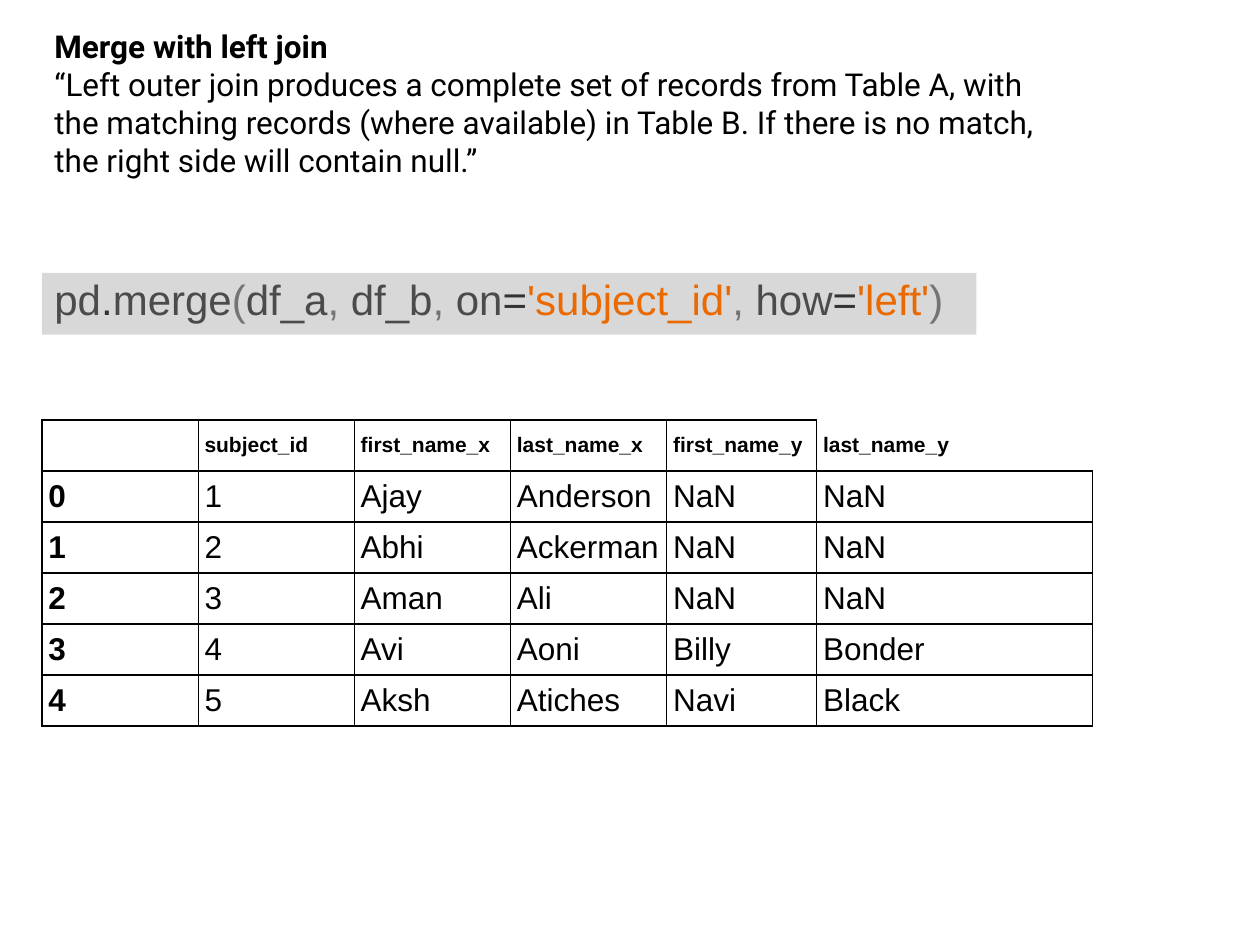
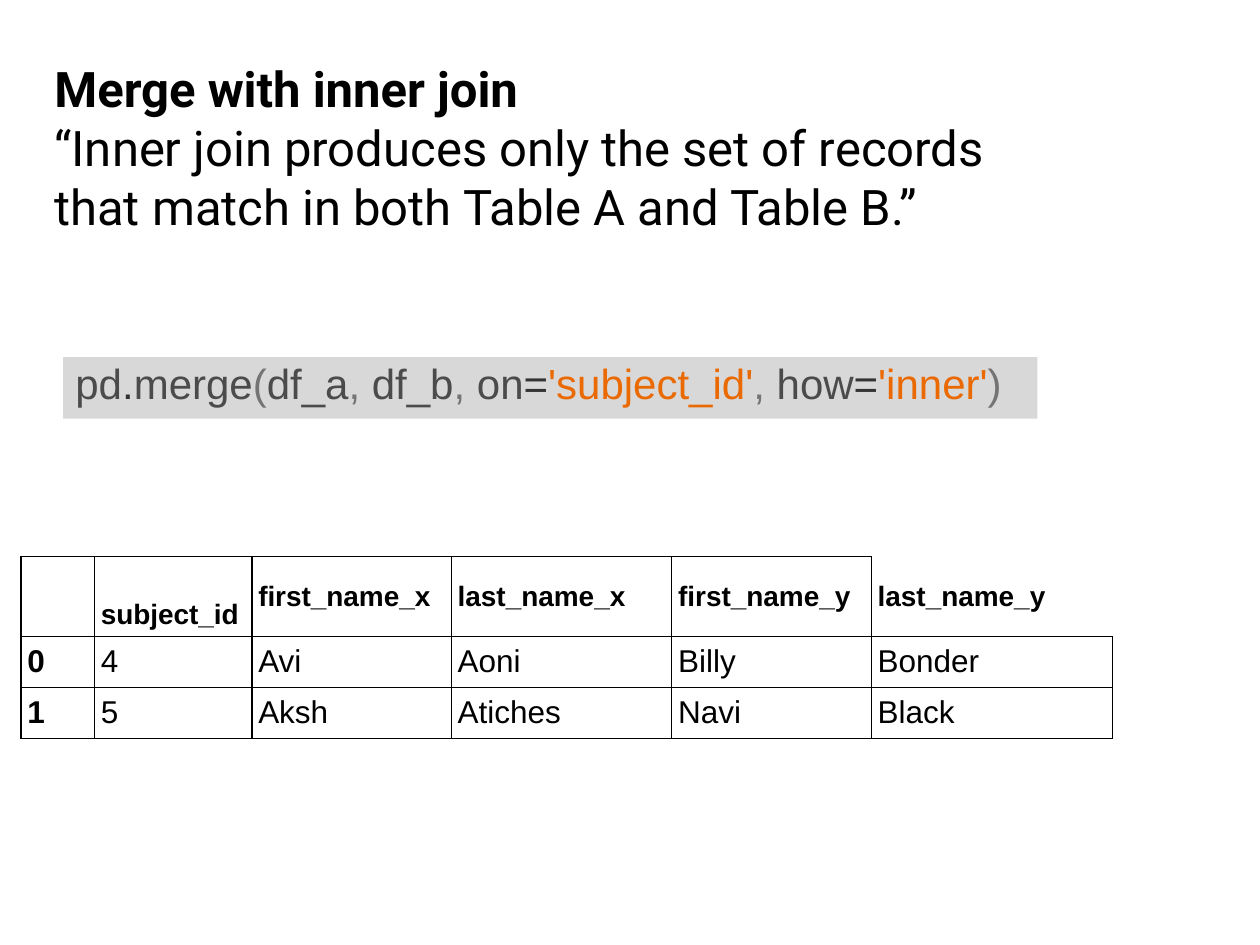
from lxml.etree import SubElement
from pptx import Presentation
from pptx.dml.color import RGBColor as Rgb
from pptx.enum.shapes import MSO_SHAPE as Preset
from pptx.enum.text import MSO_ANCHOR as Anchor, MSO_AUTO_SIZE as AutoSize, PP_ALIGN as Align
from pptx.oxml.ns import qn
from pptx.util import Inches, Pt

COLORS = {
    "text": "000000",
    "paper": "FFFFFF",
    "code_band": "D8D8D8",
    "name": "4B4B4B",
    "operator": "333333",
    "punctuation": "747474",
    "string": "EA6900",
}
PROSE_FONT, DATA_FONT = "Roboto", "Arial"
GRID_COLUMNS, GRID_ROWS = 60, 45
BODY_ROW = 2.43
HEADERS = ["", "subject_id", "first_name_x", "last_name_x", "first_name_y", "last_name_y"]
MATCHES = [
    ["4", "Avi", "Aoni", "Billy", "Bonder"],
    ["5", "Aksh", "Atiches", "Navi", "Black"],
]
LEFT_ONLY = [
    ["1", "Ajay", "Anderson", "NaN", "NaN"],
    ["2", "Abhi", "Ackerman", "NaN", "NaN"],
    ["3", "Aman", "Ali", "NaN", "NaN"],
]


def merge_call(how):
    return [
        ("pd", "name"), (".", "operator"), ("merge", "name"), ("(", "punctuation"),
        ("df_a", "name"), (", ", "punctuation"), ("df_b", "name"), (", ", "punctuation"),
        ("on", "name"), ("=", "operator"), ("'subject_id'", "string"), (", ", "punctuation"),
        ("how", "name"), ("=", "operator"), (f"'{how}'", "string"), (")", "punctuation"),
    ]


class JoinDeck:
    def __init__(self):
        self.presentation = Presentation()
        self.presentation.slide_width = Inches(10)
        self.presentation.slide_height = Inches(7.5)
        self.slide = None

    def new_slide(self):
        self.slide = self.presentation.slides.add_slide(self.presentation.slide_layouts[6])

    def across(self, columns):
        return int(self.presentation.slide_width * columns / GRID_COLUMNS)

    def down(self, rows):
        return int(self.presentation.slide_height * rows / GRID_ROWS)

    def box(self, left, top, width, height):
        return self.across(left), self.down(top), self.across(width), self.down(height)

    def run(self, paragraph, text, size, font, color="text", bold=False):
        run = paragraph.add_run()
        run.text = text
        run.font.size = Pt(size)
        run.font.name = font
        run.font.bold = bold
        run.font.color.rgb = Rgb.from_string(COLORS[color])

    def frame(self, shape, top_inset, bottom_inset, anchor):
        frame = shape.text_frame
        frame.word_wrap = True
        frame.auto_size = AutoSize.SHAPE_TO_FIT_TEXT
        frame.vertical_anchor = anchor
        frame.margin_left = frame.margin_right = Inches(0.1)
        frame.margin_top, frame.margin_bottom = Inches(top_inset), Inches(bottom_inset)
        return frame

    def explanation(self, title, quote, size, *place):
        frame = self.frame(self.slide.shapes.add_textbox(*self.box(*place)), 0.05, 0.05, Anchor.TOP)
        self.run(frame.paragraphs[0], title, size, PROSE_FONT, bold=True)
        self.run(frame.add_paragraph(), quote, size, PROSE_FONT)

    def code(self, tokens, *place):
        shape = self.slide.shapes.add_shape(Preset.RECTANGLE, *self.box(*place))
        shape.shadow.inherit = False
        shape.fill.solid()
        shape.fill.fore_color.rgb = Rgb.from_string(COLORS["code_band"])
        shape.line.fill.background()
        paragraph = self.frame(shape, 0, 0.09, Anchor.MIDDLE).paragraphs[0]
        paragraph.alignment = Align.LEFT
        for text, color in tokens:
            self.run(paragraph, text, 24, DATA_FONT, color)

    def borders(self, cell, drawn):
        properties = cell._tc.get_or_add_tcPr()
        for side in "LRTB":
            line = SubElement(properties, qn(f"a:ln{side}"), w=str(Pt(0.75)))
            if side in drawn:
                fill = SubElement(line, qn("a:solidFill"))
                SubElement(fill, qn("a:srgbClr"), val=COLORS["text"])
            else:
                SubElement(line, qn("a:noFill"))

    def cell(self, cell, text, size, bold, open_corner):
        cell.margin_left = cell.margin_right = Inches(0.05)
        cell.margin_top = cell.margin_bottom = Inches(0.05)
        cell.vertical_anchor = Anchor.MIDDLE
        self.borders(cell, "LB" if open_corner else "LRTB")
        if open_corner:
            cell.fill.background()
        else:
            cell.fill.solid()
            cell.fill.fore_color.rgb = Rgb.from_string(COLORS["paper"])
        if text:
            self.run(cell.text_frame.paragraphs[0], text, size, DATA_FONT, bold=bold)

    def table(self, records, left, top, widths, header_row, header_size):
        rows = [HEADERS] + [[str(index)] + record for index, record in enumerate(records)]
        heights = [header_row] + [BODY_ROW] * len(records)
        place = self.box(left, top, sum(widths), sum(heights))
        table = self.slide.shapes.add_table(len(rows), len(HEADERS), *place).table
        table.first_row = table.horz_banding = False
        for column, width in zip(table.columns, widths):
            column.width = self.across(width)
        for r, (values, height) in enumerate(zip(rows, heights)):
            table.rows[r].height = self.down(height)
            for c, value in enumerate(values):
                is_header = r == 0
                self.cell(table.cell(r, c), value, header_size if is_header else 18,
                          is_header or c == 0, is_header and c == len(HEADERS) - 1)
        return table


def main():
    deck = JoinDeck()

    deck.new_slide()
    deck.code(merge_call("left"), 2, 13, 44.5, 2.94)
    deck.table(LEFT_ONLY + MATCHES, 2, 20, [7.44] * 4 + [7.14, 13.14], BODY_ROW, 12)
    deck.explanation(
        "Merge with left join",
        "“Left outer join produces a complete set of records from Table A, with the matching "
        "records (where available) in Table B. If there is no match, the right side will "
        "contain null.”",
        18, 2, 1, 49.5, 7.86)

    deck.new_slide()
    deck.code(merge_call("inner"), 3, 17, 46.4, 2.94)
    table = deck.table(MATCHES, 1, 26.5, [3.5, 7.5, 9.5, 10.5, 9.5, 11.5], 3.81, 16)
    table.cell(0, 1).vertical_anchor = Anchor.BOTTOM
    deck.explanation(
        "Merge with inner join",
        "“Inner join produces only the set of records that match in both Table A and Table B.”",
        28, 2, 2.5, 50, 9.06)

    deck.presentation.save("out.pptx")


if __name__ == "__main__":
    main()
